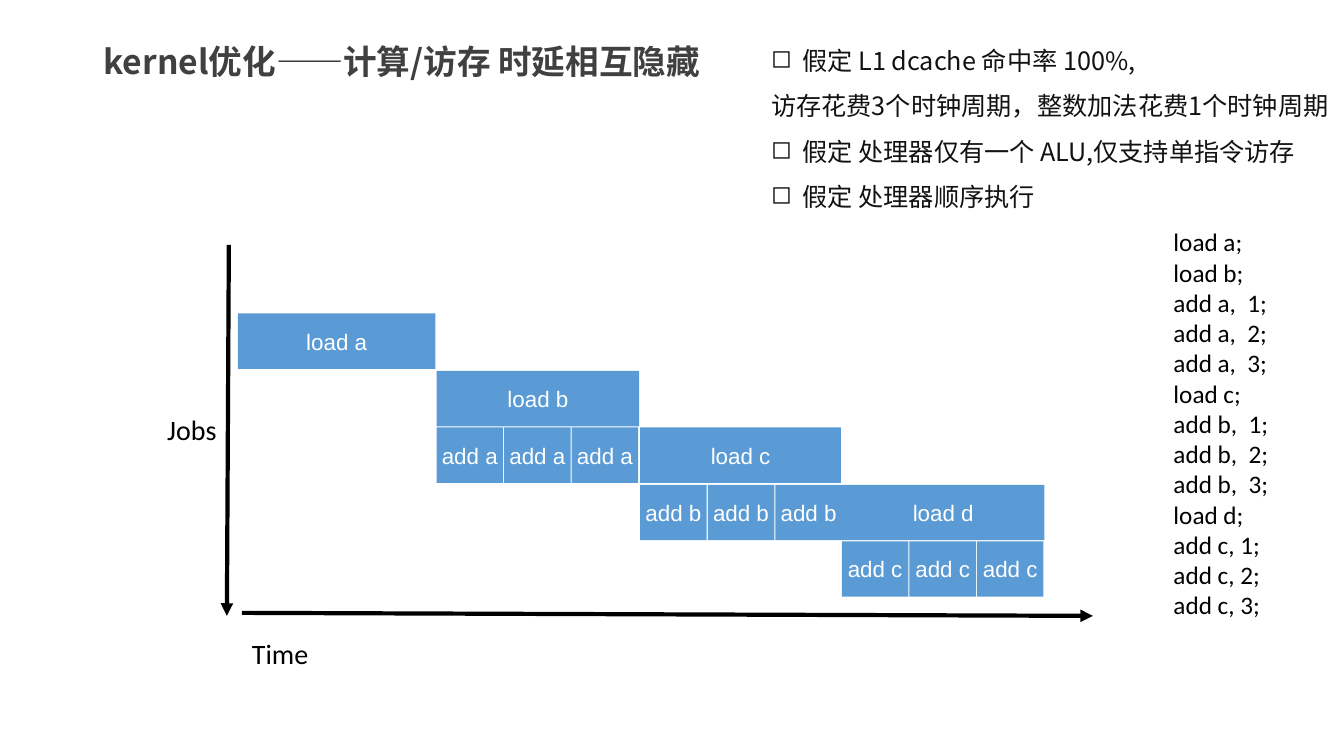
import pptx
import pptx.util
import pptx.dml.color
import pptx.enum.shapes
import pptx.enum.text
import pptx.oxml
import pptx.oxml.ns

PX = 9144
THEME = {
    "heading": "404040", "body": "121212", "ink": "000000",
    "block": "5B9BD5", "block_text": "FFFFFF",
    "cjk": "Noto Sans CJK SC", "label": "Calibri", "block_font": "Arial",
    "title_size": 24, "label_size": 20, "body_size": 18, "block_size": 16, "axis_width": 3,
}
NAMESPACE = pptx.oxml.ns.nsdecls("a")
ALIGN = pptx.enum.text.PP_ALIGN
GROW = pptx.enum.text.MSO_AUTO_SIZE.SHAPE_TO_FIT_TEXT


def add_text(paragraph, text, font_name, size, color, bold=False):
    run = paragraph.add_run()
    run.text = text
    run.font.name = font_name
    run.font.size = pptx.util.Pt(size)
    run.font.bold = bold
    run.font.color.rgb = pptx.dml.color.RGBColor.from_string(color)
    run.font._element.get_or_add_latin().addnext(
        pptx.oxml.parse_xml(f'<a:ea {NAMESPACE} typeface="{font_name}"/>'))


def add_box(slide, left, top, width, height, wrap=True, grow=False):
    shape = slide.shapes.add_textbox(left * PX, top * PX, width * PX, height * PX)
    frame = shape.text_frame
    frame.word_wrap = wrap
    if grow:
        frame.auto_size = GROW
    return frame


presentation = pptx.Presentation()
presentation.slide_width = 1333 * PX
presentation.slide_height = 750 * PX
slide = presentation.slides.add_slide(presentation.slide_layouts[6])

title = add_box(slide, 93, 36, 1199, 50, grow=True)
add_text(title.paragraphs[0], "kernel优化——计算/访存 时延相互隐藏",
         THEME["cjk"], THEME["title_size"], THEME["heading"], bold=True)

for name, left, top, width in [("Time", 240, 627, 77), ("Jobs", 156, 404, 69)]:
    label = add_box(slide, left, top, width, 44, wrap=False, grow=True)
    add_text(label.paragraphs[0], name, THEME["label"], THEME["label_size"], THEME["ink"])

for axis_points in [(227, 243, 225, 611), (240, 608, 1084, 611)]:
    axis = slide.shapes.add_connector(
        pptx.enum.shapes.MSO_CONNECTOR.STRAIGHT, *[point * PX for point in axis_points])
    axis.line.color.rgb = pptx.dml.color.RGBColor.from_string(THEME["ink"])
    axis.line.width = pptx.util.Pt(THEME["axis_width"])
    axis.line._get_or_add_ln().append(
        pptx.oxml.parse_xml(f'<a:tailEnd {NAMESPACE} type="triangle"/>'))
    axis._element.spPr.append(pptx.oxml.parse_xml(f'<a:effectLst {NAMESPACE}/>'))

instructions = [
    "load a;", "load b;", "add a,  1;", "add a,  2;", "add a,  3;",
    "load c;", "add b,  1;", "add b,  2;", "add b,  3;",
    "load d;", "add c, 1;", "add c, 2;", "add c, 3;",
]
listing = add_box(slide, 1154, 220, 145, 406)
for index, instruction in enumerate(instructions):
    paragraph = listing.add_paragraph() if index else listing.paragraphs[0]
    add_text(paragraph, instruction, THEME["label"], THEME["body_size"], THEME["ink"])

assumptions = [
    ("假定 L1 dcache 命中率 100%,", True),
    ("访存花费3个时钟周期，整数加法花费1个时钟周期", False),
    ("假定 处理器仅有一个 ALU,仅支持单指令访存", True),
    ("假定 处理器顺序执行", True),
]
notes = add_box(slide, 755, 25, 579, 195)
for index, (assumption, bulleted) in enumerate(assumptions):
    paragraph = notes.add_paragraph() if index else notes.paragraphs[0]
    if bulleted:
        properties = paragraph._p.get_or_add_pPr()
        properties.set("marL", str(31 * PX))
        properties.set("indent", str(-31 * PX))
        properties.append(pptx.oxml.parse_xml(f'<a:buChar {NAMESPACE} char="◻"/>'))
    paragraph.line_spacing = 1.5
    add_text(paragraph, assumption, THEME["cjk"], THEME["body_size"], THEME["body"])

variables = "abcd"
stage_edges = [236, 433, 635, 835, 1037]
add_step = 67
row_tops = [311, 368, 424, 481, 537]
blocks = []
for stage, variable in enumerate(variables):
    left, right = stage_edges[stage:stage + 2]
    blocks.append((f"load {variable}", left, row_tops[stage], right - left - 1))
    if stage:
        for step in range(3):
            blocks.append((f"add {variables[stage - 1]}", left + step * add_step,
                           row_tops[stage + 1], add_step - 1))

for name, left, top, width in blocks:
    shape = slide.shapes.add_shape(
        pptx.enum.shapes.MSO_SHAPE.RECTANGLE, left * PX, top * PX, width * PX, 55 * PX)
    shape.shadow.inherit = False
    shape.fill.solid()
    shape.fill.fore_color.rgb = pptx.dml.color.RGBColor.from_string(THEME["block"])
    shape.line.fill.background()
    frame = shape.text_frame
    frame.word_wrap = False
    frame.vertical_anchor = pptx.enum.text.MSO_ANCHOR.MIDDLE
    paragraph = frame.paragraphs[0]
    paragraph.alignment = ALIGN.CENTER
    add_text(paragraph, name, THEME["block_font"], THEME["block_size"], THEME["block_text"])

presentation.save("out.pptx")
